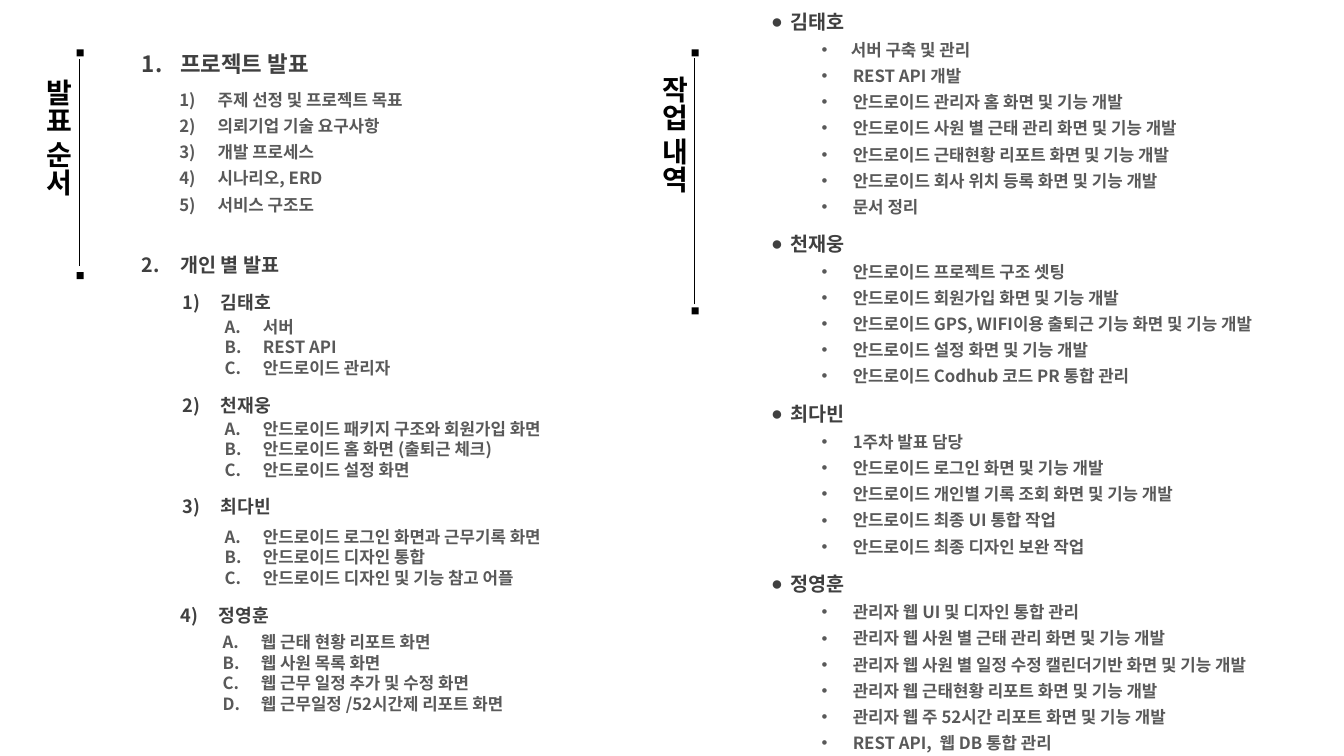
import pptx
import pptx.dml.color
import pptx.enum.shapes
import pptx.enum.text
import pptx.oxml.ns
import pptx.util
from lxml import etree
from pptx.util import Inches

FONT = "Noto Sans CJK KR"
DARK, GRAY, BLACK = "404040", "595959", "000000"
LOOSE, TIGHT = 1.56, 1.215
qn = pptx.oxml.ns.qn

AGENDA = ["주제 선정 및 프로젝트 목표", "의뢰기업 기술 요구사항", "개발 프로세스",
          "시나리오, ERD", "서비스 구조도"]

PRESENTERS = [
    ("김태호", 1.71, 2.78, 3.09, ["서버", "REST API", "안드로이드 관리자"]),
    ("천재웅", 1.71, 3.8, 4.1, ["안드로이드 패키지 구조와 회원가입 화면",
                            "안드로이드 홈 화면 (출퇴근 체크)", "안드로이드 설정 화면"]),
    ("최다빈", 1.71, 4.8, 5.17, ["안드로이드 로그인 화면과 근무기록 화면",
                             "안드로이드 디자인 통합", "안드로이드 디자인 및 기능 참고 어플"]),
    ("정영훈", 1.69, 5.88, 6.22, ["웹 근태 현황 리포트 화면", "웹 사원 목록 화면",
                              "웹 근무 일정 추가 및 수정 화면",
                              "웹 근무일정 /52시간제 리포트 화면"]),
]

WORK = [
    ("김태호", -0.02, 2.22, ["서버 구축 및 관리", "REST API 개발", "안드로이드 관리자 홈 화면 및 기능 개발",
                          "안드로이드 사원 별 근태 관리 화면 및 기능 개발",
                          "안드로이드 근태현황 리포트 화면 및 기능 개발",
                          "안드로이드 회사 위치 등록 화면 및 기능 개발", "문서 정리"]),
    ("천재웅", 2.18, 1.69, ["안드로이드 프로젝트 구조 셋팅", "안드로이드 회원가입 화면 및 기능 개발",
                         "안드로이드 GPS, WIFI이용 출퇴근 기능 화면 및 기능 개발",
                         "안드로이드 설정 화면 및 기능 개발", "안드로이드 Codhub 코드 PR 통합 관리"]),
    ("최다빈", 3.87, 1.69, ["1주차 발표 담당", "안드로이드 로그인 화면 및 기능 개발",
                         "안드로이드 개인별 기록 조회 화면 및 기능 개발",
                         "안드로이드 최종 UI 통합 작업", "안드로이드 최종 디자인 보완 작업"]),
    ("정영훈", 5.56, 1.95, ["관리자 웹 UI 및 디자인 통합 관리",
                         "관리자 웹 사원 별 근태 관리 화면 및 기능 개발",
                         "관리자 웹 사원 별 일정 수정 캘린더기반 화면 및 기능 개발",
                         "관리자 웹 근태현황 리포트 화면 및 기능 개발",
                         "관리자 웹 주 52시간 리포트 화면 및 기능 개발",
                         "REST API,  웹 DB 통합 관리"]),
]


def color(value):
    return pptx.dml.color.RGBColor.from_string(value)


def add_box(page, left, top, width, height, wrap=True):
    box = page.shapes.add_textbox(Inches(left), Inches(top), Inches(width), Inches(height))
    box.text_frame.word_wrap = wrap
    box.text_frame.auto_size = pptx.enum.text.MSO_AUTO_SIZE.NONE
    return box.text_frame


def set_bullet(para, margin, hang, char=None, number=None, start=1):
    props = para._p.get_or_add_pPr()
    props.set("marL", str(Inches(margin)))
    props.set("indent", str(-Inches(hang)))
    if char:
        etree.SubElement(props, qn("a:buFont"), typeface="Arial")
        etree.SubElement(props, qn("a:buChar"), char=char)
    else:
        mark = etree.SubElement(props, qn("a:buAutoNum"), type=number)
        if start > 1:
            mark.set("startAt", str(start))


def add_text(frame, text, size=12, fill=GRAY, spacing=LOOSE, bullet=None, align=None):
    para = frame.paragraphs[0]
    if para.runs:
        para = frame.add_paragraph()
    if bullet:
        set_bullet(para, **bullet)
    para.line_spacing = pptx.util.Pt(round(size * spacing, 1))
    para.alignment = align
    span = para.add_run()
    span.text = text
    span.font.size = pptx.util.Pt(size)
    span.font.bold = True
    span.font.name = FONT
    span.font.color.rgb = color(fill)
    etree.SubElement(span.font._element, qn("a:ea"), typeface=FONT)


def numbered(kind, start=1):
    return dict(margin=0.38, hang=0.38, number=kind, start=start)


def add_numbered_list(page, left, top, width, height, items, kind, spacing):
    frame = add_box(page, left, top, width, height)
    for item in items:
        add_text(frame, item, spacing=spacing, bullet=numbered(kind))


def add_heading(page, text, left, top, width, size, kind, start):
    frame = add_box(page, left, top, width, 0.38)
    add_text(frame, text, size=size, fill=DARK, bullet=numbered(kind, start))


def add_work(page, name, top, height, tasks):
    frame = add_box(page, 7.55, top, 5.75, height)
    add_text(frame, name, size=14, fill=DARK, bullet=dict(margin=0.19, hang=0.19, char="●"))
    for task in tasks:
        margin = 0.79 if task == WORK[0][3][0] else 0.81
        add_text(frame, task, bullet=dict(margin=margin, hang=margin - 0.5, char="•"))


def add_side_title(page, text, left, top):
    frame = add_box(page, left, top, 0.59, 1.39, wrap=False)
    frame._txBody.bodyPr.set("vert", "eaVert")
    add_text(frame, text, size=20, fill=BLACK, align=pptx.enum.text.PP_ALIGN.CENTER)


def add_rule(page, x, top, bottom, last_square):
    line = page.shapes.add_connector(pptx.enum.shapes.MSO_CONNECTOR.STRAIGHT,
                                     Inches(x), Inches(bottom), Inches(x), Inches(top))
    line.line.color.rgb = color(BLACK)
    line.line.width = pptx.util.Pt(0.5)
    etree.SubElement(line._element.spPr, qn("a:effectLst"))
    for y in (0.49, last_square):
        square = page.shapes.add_shape(pptx.enum.shapes.MSO_SHAPE.RECTANGLE,
                                       Inches(x - 0.03), Inches(y), Inches(0.07), Inches(0.07))
        square.shadow.inherit = False
        square.fill.solid()
        square.fill.fore_color.rgb = color(BLACK)
        square.line.fill.background()


def main():
    deck = pptx.Presentation()
    deck.slide_width, deck.slide_height = Inches(13.33), Inches(7.5)
    page = deck.slides.add_slide(deck.slide_layouts[6])

    add_side_title(page, "발표 순서", 0.31, 0.68)
    add_rule(page, 0.79, 0.59, 2.64, 2.7)
    add_heading(page, "프로젝트 발표", 1.31, 0.37, 2.01, 16, "arabicPeriod", 1)
    add_numbered_list(page, 1.68, 0.78, 2.96, 1.38, AGENDA, "arabicParenR", LOOSE)
    add_heading(page, "개인 별 발표", 1.31, 2.39, 1.7, 14, "arabicPeriod", 2)
    for order, (name, left, top, list_top, topics) in enumerate(PRESENTERS, 1):
        add_heading(page, name, left, top, 1.13, 13, "arabicParenR", order)
        add_numbered_list(page, left + 0.42, list_top, 3.76, 0.1 + 0.2 * len(topics),
                          topics, "alphaUcPeriod", TIGHT)

    add_side_title(page, "작업 내역", 6.41, 0.65)
    add_rule(page, 6.89, 0.58, 3.02, 3.05)
    for name, top, height, tasks in WORK:
        add_work(page, name, top, height, tasks)

    deck.save("out.pptx")


if __name__ == "__main__":
    main()
